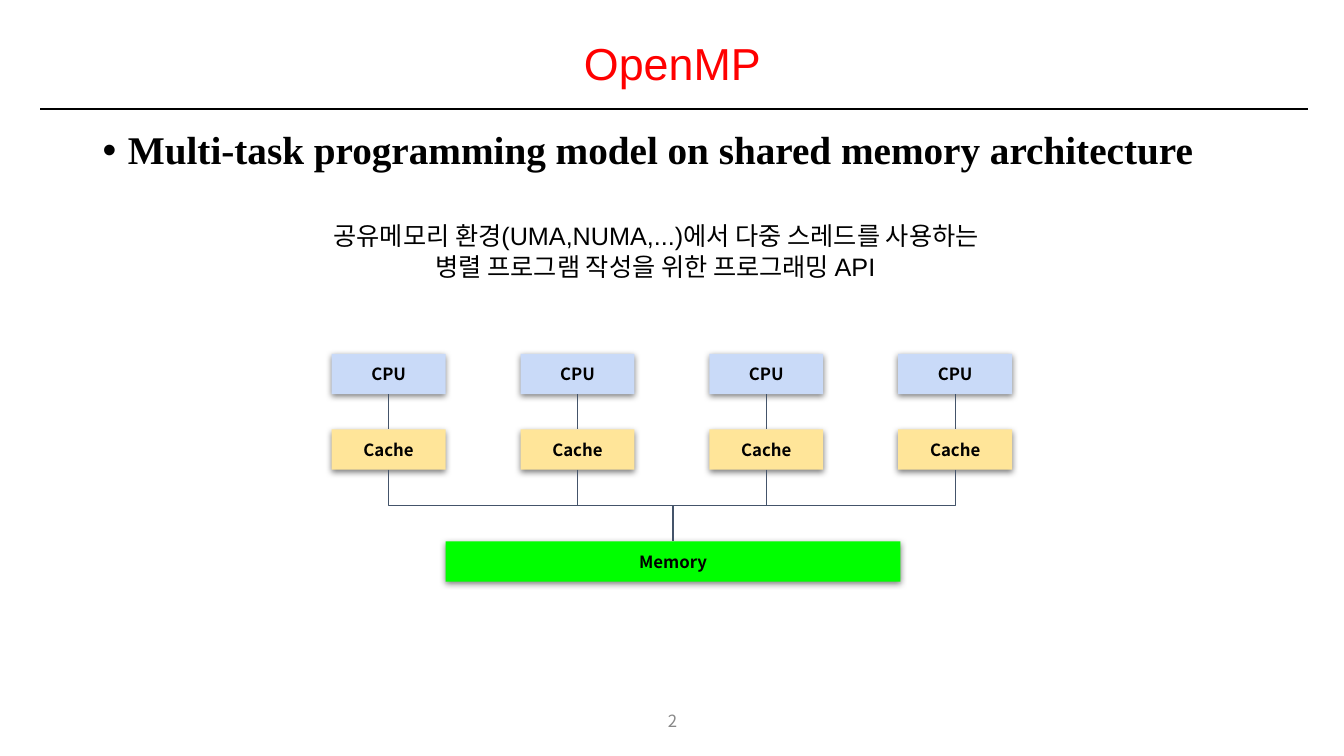
from lxml.etree import SubElement
from pptx import Presentation
from pptx.dml.color import RGBColor
from pptx.enum.shapes import MSO_CONNECTOR, MSO_SHAPE
from pptx.enum.text import MSO_ANCHOR, PP_ALIGN
from pptx.oxml.ns import qn
from pptx.util import Inches, Pt

TITLE = "OpenMP"
HEADLINE = "Multi-task programming model on shared memory architecture"
DESCRIPTION = [
    "공유메모리 환경(UMA,NUMA,...)에서 다중 스레드를 사용하는 ",
    "병렬 프로그램 작성을 위한 프로그래밍 API ",
]
PAGE_NUMBER = "2"
CPU_COUNT = 4
SANS, SERIF, KOREAN = "Arial", "Times New Roman", "Noto Sans CJK KR"
COLORS = {
    "title": "FF0000", "text": "000000", "page": "888888", "wire": "44546A",
    "cpu": "C9DAF8", "cache": "FFE599", "memory": "00FF00",
}

# Diagram geometry in inches
FIRST_X, PITCH, BOX_W, BOX_H = 3.29, 1.873, 1.13, 0.4
CPU_Y, CACHE_Y, MEMORY_Y = 3.51, 4.26, 5.37
MEMORY_X, MEMORY_W = 4.42, 4.51

prs = Presentation()
prs.slide_width, prs.slide_height = Inches(13.33), Inches(7.5)
slide = prs.slides.add_slide(prs.slide_layouts[6])


def rgb(name):
    return RGBColor.from_string(COLORS[name])


def fill_text(tf, lines, size, font, color="text", bold=False,
              align=PP_ALIGN.CENTER, anchor=MSO_ANCHOR.TOP, spacing=1.0):
    tf.word_wrap = True
    tf.vertical_anchor = anchor
    tf.text = "\n".join(lines)
    for p in tf.paragraphs:
        p.alignment = align
        p.line_spacing = spacing
        for r in p.runs:
            r.font.size, r.font.name, r.font.bold = Pt(size), font, bold
            r.font.color.rgb = rgb(color)
            SubElement(r.font._element, qn("a:ea")).set("typeface", KOREAN)


def add_text(x, y, w, h, lines, size, font, **style):
    box = slide.shapes.add_textbox(Inches(x), Inches(y), Inches(w), Inches(h))
    fill_text(box.text_frame, lines, size, font, **style)
    return box.text_frame


def add_box(x, y, w, label, color):
    sp = slide.shapes.add_shape(MSO_SHAPE.RECTANGLE, Inches(x), Inches(y),
                                Inches(w), Inches(BOX_H))
    sp.fill.solid()
    sp.fill.fore_color.rgb = rgb(color)
    sp.line.fill.background()
    sp.shadow.inherit = False
    effects = sp._element.spPr.find(qn("a:effectLst"))
    shadow = SubElement(effects, qn("a:outerShdw"), blurRad=str(Pt(4.5)),
                        dist=str(Pt(1.5)), dir="5400000", rotWithShape="0")
    black = SubElement(shadow, qn("a:srgbClr"), val=COLORS["text"])
    SubElement(black, qn("a:alpha"), val="50000")
    tf = sp.text_frame
    tf.margin_left = tf.margin_right = tf.margin_top = tf.margin_bottom = Inches(0.1)
    fill_text(tf, [label], 12, KOREAN, bold=True)


def add_line(x1, y1, x2, y2, color="wire", width=0.75, kind=MSO_CONNECTOR.STRAIGHT):
    line = slide.shapes.add_connector(kind, Inches(x1), Inches(y1),
                                      Inches(x2), Inches(y2))
    line.line.color.rgb = rgb(color)
    line.line.width = Pt(width)
    SubElement(line._element.spPr, qn("a:effectLst"))
    return line


def add_drop_elbow(x1, y1, x2, y2):
    """Elbow that leaves downwards: a horizontal one turned a quarter about its centre."""
    mid_x, mid_y = (x1 + x2) / 2, (y1 + y2) / 2
    half_w, half_h = (y2 - y1) / 2, abs(x2 - x1) / 2
    side = -1 if x2 > x1 else 1
    elbow = add_line(mid_x - side * half_w, mid_y - half_h,
                     mid_x + side * half_w, mid_y + half_h,
                     kind=MSO_CONNECTOR.ELBOW)
    degrees = 270 if side < 0 else 90
    elbow._element.spPr.find(qn("a:xfrm")).set("rot", str(degrees * 60000))


add_text(0.92, 0.29, 11.5, 0.73, [TITLE], 32, SANS, color="title",
         anchor=MSO_ANCHOR.MIDDLE, spacing=0.9)
add_line(0.4, 1.08, 12.97, 1.08, color="text", width=1.5)

headline = add_text(0.92, 1.25, 11.5, 0.58, [HEADLINE], 28, SERIF, bold=True,
                    align=PP_ALIGN.LEFT, spacing=0.9)
pPr = headline.paragraphs[0]._p.get_or_add_pPr()
pPr.set("marL", str(Inches(0.25)))
pPr.set("indent", str(-Inches(0.25)))
SubElement(pPr, qn("a:buFont"), typeface=SANS)
SubElement(pPr, qn("a:buChar"), char="•")

add_text(0.92, 2.14, 11.23, 0.84, DESCRIPTION, 18, SANS)
add_text(5.17, 6.95, 3, 0.4, [PAGE_NUMBER], 12, KOREAN, color="page",
         anchor=MSO_ANCHOR.MIDDLE)

memory_mid = MEMORY_X + MEMORY_W / 2
add_box(MEMORY_X, MEMORY_Y, MEMORY_W, "Memory", "memory")
for i in range(CPU_COUNT):
    x = FIRST_X + i * PITCH
    mid = x + BOX_W / 2
    add_box(x, CPU_Y, BOX_W, "CPU", "cpu")
    add_box(x, CACHE_Y, BOX_W, "Cache", "cache")
    add_line(mid, CPU_Y + BOX_H, mid, CACHE_Y)
    add_drop_elbow(mid, CACHE_Y + BOX_H, memory_mid, MEMORY_Y)

prs.save("out.pptx")
